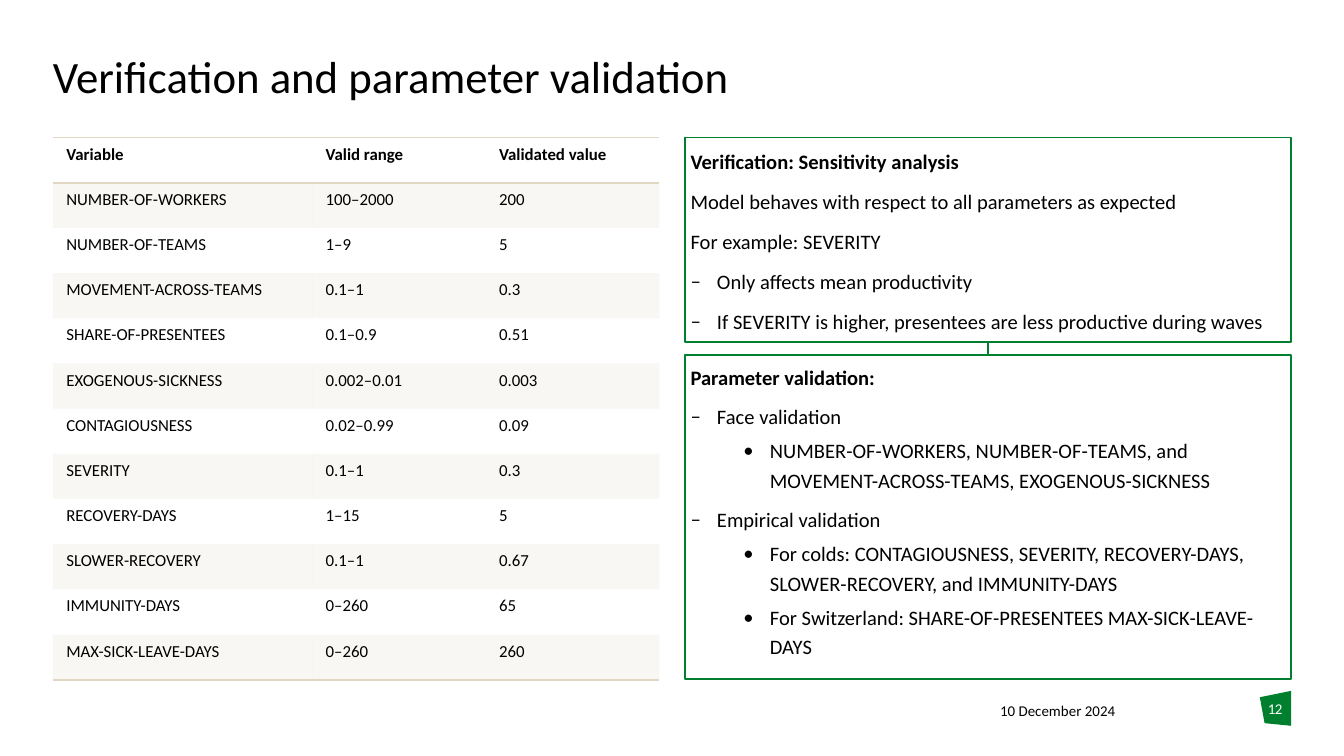
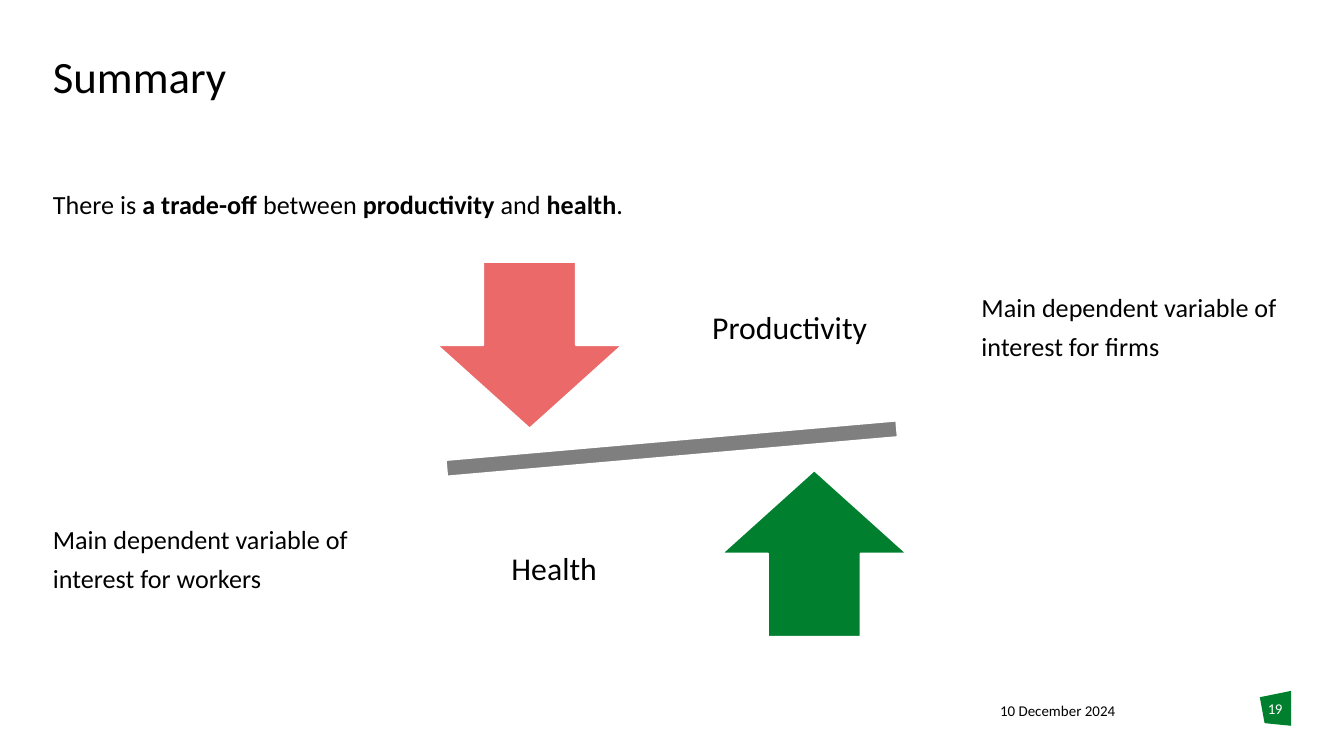
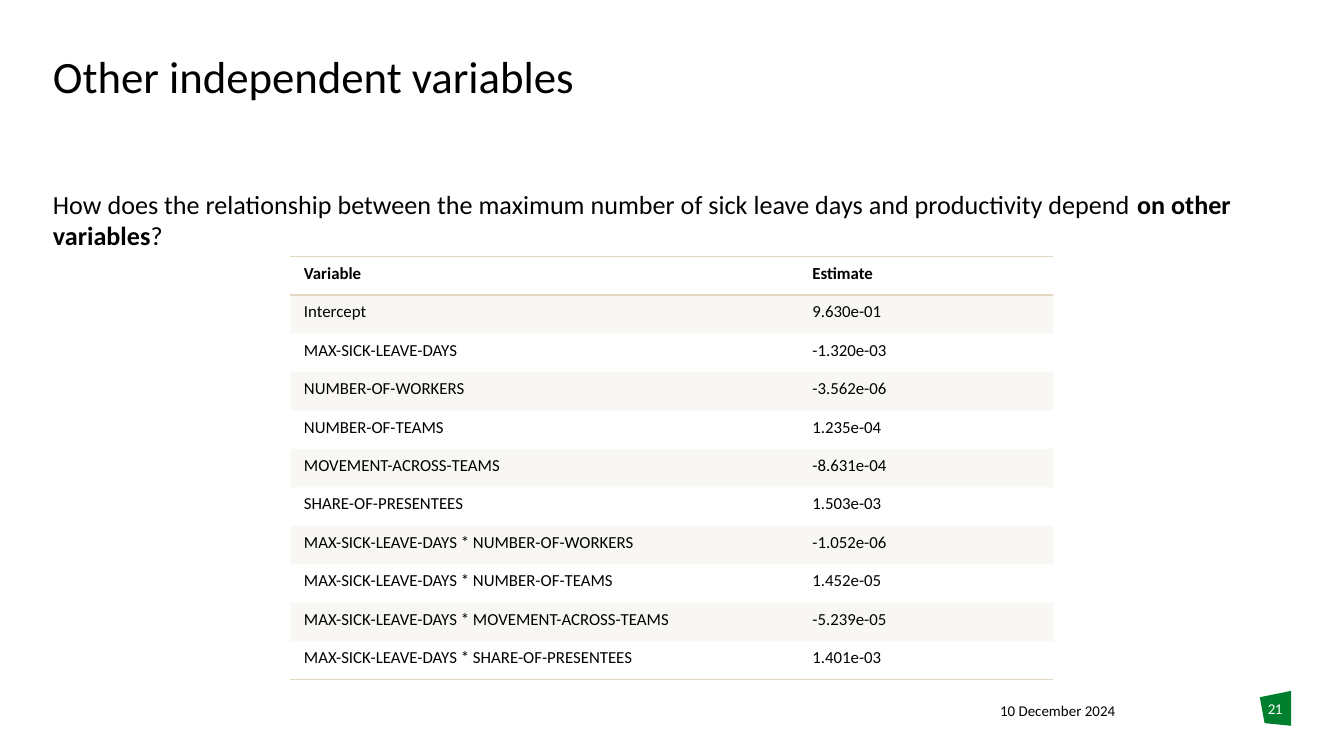
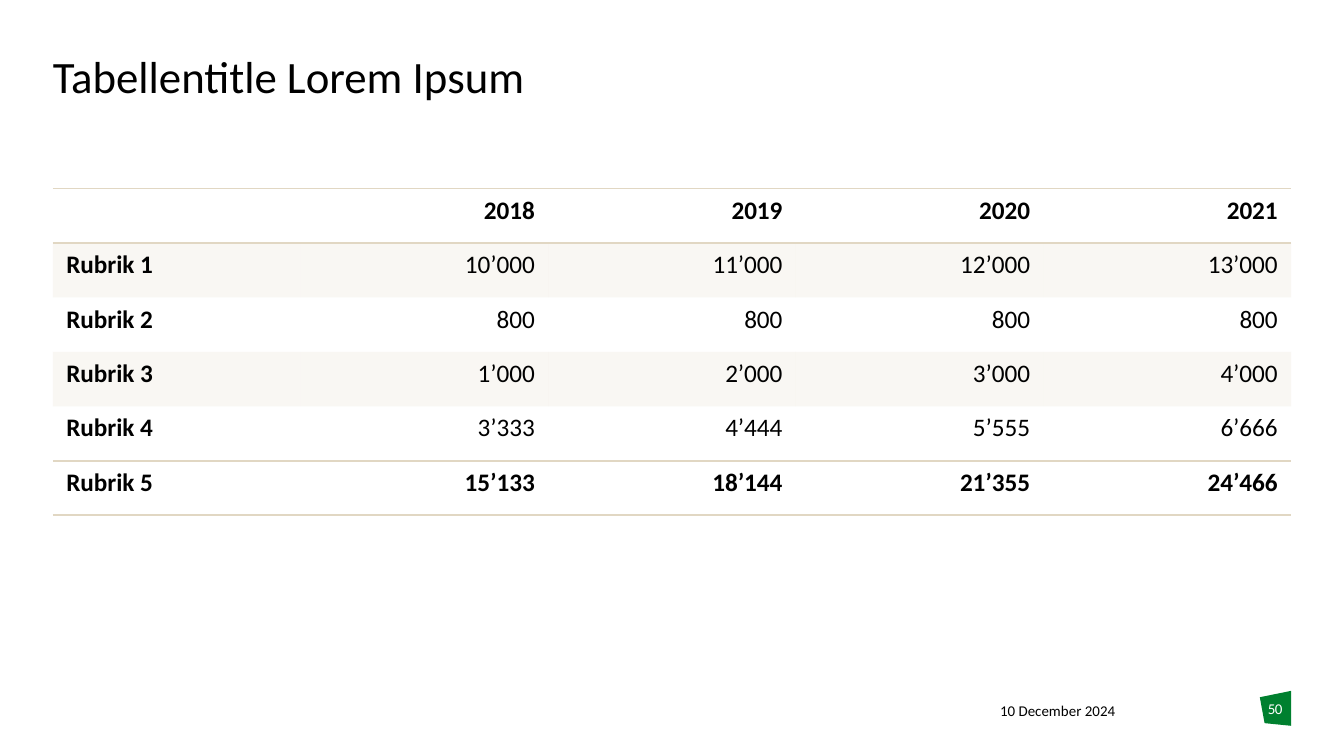
"""Build four slides on a workplace sickness model with one shared style."""
from dataclasses import dataclass, replace

from lxml import etree
from pptx import Presentation
from pptx import util as u
from pptx.dml import color
from pptx.enum import shapes, text
from pptx.oxml import ns

NO_GRID_STYLE = "{2D5ABB26-0587-4C30-8999-92F81FD0307C}"


@dataclass(frozen=True)
class Theme:
    font: str = "Calibri"
    ink: str = "000000"
    paper: str = "FFFFFF"
    green: str = "00802F"
    red: str = "EB6969"
    sand: str = "E1D7C3"
    title: float = 24
    label: float = 17
    body: float = 14
    figures: float = 13.5
    box: float = 11
    cell: float = 9
    footer: float = 8
    margin: float = 1.0
    width: float = 23.4
    line: float = 1
    date: str = "10 December 2024"


@dataclass(frozen=True)
class Style:
    size: float
    ink: str = Theme.ink
    align: text.PP_ALIGN = text.PP_ALIGN.LEFT
    level: int = 0
    indent: float = 0
    hanging: float = 0
    bullet: str = ""
    spacing: float = 1.0
    after: float = 0
    tracking: int = 0


def child(parent, tag, **attributes):
    return etree.SubElement(parent, ns.qn(tag), **attributes)


class Deck:
    def __init__(self, theme):
        self.theme = theme
        self.presentation = Presentation()
        self.presentation.slide_width = u.Cm(25.4)
        self.presentation.slide_height = u.Cm(14.29)
        self.slide = None

    def start(self, title, number, layout):
        layouts = self.presentation.slide_layouts
        self.slide = self.presentation.slides.add_slide(layouts[layout])
        theme = self.theme
        self.placeholder(0, (theme.margin, 1.04, theme.width, 1.7),
                         [(Style(theme.title, spacing=0.9), title)])
        self.page_mark()
        footer = Style(theme.footer)
        self.textbox((18.9, 13.26, 3.28, 0.51), [(footer, theme.date)])
        self.textbox((23.8, 13.23, 0.6, 0.76), [
            (replace(footer, ink=theme.paper, align=text.PP_ALIGN.CENTER, tracking=-30), str(number))])

    def page_mark(self):
        corners = [(23.81, 13.18), (24.4, 13.06), (24.4, 13.72), (23.9, 13.67)]
        points = [(u.Cm(x), u.Cm(y)) for x, y in corners]
        builder = self.slide.shapes.build_freeform(*points[0], scale=1.0)
        builder.add_line_segments(points[1:], close=True)
        self.paint(builder.convert_to_shape(), self.theme.green)

    def paint(self, shape, fill, line=None, alpha=None):
        shape.shadow.inherit = False
        self.fill(shape.fill, fill)
        if alpha:
            self.fade(shape.element.spPr, alpha)
        if line:
            self.outline(shape.line, line)
        else:
            shape.line.fill.background()

    def fill(self, fill, hue):
        fill.solid()
        fill.fore_color.rgb = color.RGBColor.from_string(hue)

    def fade(self, properties, percent):
        hue = properties.find(ns.qn("a:solidFill"))[0]
        child(hue, "a:alpha", val=str(percent * 1000))

    def outline(self, line, hue):
        self.fill(line.fill, hue)
        line.width = u.Pt(self.theme.line)

    def place(self, shape, box):
        shape.left, shape.top, shape.width, shape.height = map(u.Cm, box)

    def placeholder(self, index, box, paragraphs, inset=0, border=None):
        shape = self.slide.placeholders[index]
        self.place(shape, box)
        if border:
            self.outline(shape.line, border)
        self.frame(shape.text_frame, paragraphs, inset)

    def textbox(self, box, paragraphs, inset=0, anchor=text.MSO_ANCHOR.TOP, parent=None):
        parent = parent or self.slide
        shape = parent.shapes.add_textbox(*map(u.Cm, box))
        self.frame(shape.text_frame, paragraphs, inset, anchor)

    def frame(self, frame, paragraphs, inset, anchor=text.MSO_ANCHOR.TOP):
        frame.word_wrap = True
        frame.auto_size = text.MSO_AUTO_SIZE.NONE
        frame.vertical_anchor = anchor
        frame.margin_left = frame.margin_right = u.Cm(inset)
        frame.margin_top = frame.margin_bottom = u.Cm(inset)
        for index, (style, content) in enumerate(paragraphs):
            paragraph = frame.add_paragraph() if index else frame.paragraphs[0]
            self.paragraph(paragraph, style, content)

    def paragraph(self, paragraph, style, content):
        paragraph.alignment = style.align
        paragraph.level = style.level
        paragraph.line_spacing = style.spacing
        paragraph.space_before = u.Pt(0)
        paragraph.space_after = u.Pt(style.after)
        properties = paragraph._p.get_or_add_pPr()
        properties.set("marL", str(u.Cm(style.indent)))
        properties.set("indent", str(-u.Cm(style.hanging)))
        if style.bullet:
            child(properties, "a:buFont", typeface=self.theme.font)
            child(properties, "a:buChar", char=style.bullet)
        else:
            child(properties, "a:buNone")
        runs = [(content, False)] if isinstance(content, str) else content
        for words, bold in runs:
            run = paragraph.add_run()
            run.text = words
            run.font.name = self.theme.font
            run.font.size = u.Pt(style.size)
            run.font.bold = bold
            run.font.color.rgb = color.RGBColor.from_string(style.ink)
            if style.tracking:
                run._r.get_or_add_rPr().set("spc", str(style.tracking))

    def shape(self, kind, box, fill, rotation=0, alpha=None, parent=None):
        shape = (parent or self.slide).shapes.add_shape(kind, *map(u.Cm, box))
        shape.rotation = rotation
        self.paint(shape, fill, self.theme.paper, alpha)

    def connector(self, start, end):
        connector = self.slide.shapes.add_connector(
            shapes.MSO_CONNECTOR.STRAIGHT, *map(u.Cm, start + end))
        self.outline(connector.line, self.theme.green)
        child(connector._element.spPr, "a:effectLst")

    def table(self, left, top, widths, height, rows, size, totals=False):
        box = (left, top, sum(widths), height)
        table = self.slide.shapes.add_table(len(rows), len(widths), *map(u.Cm, box)).table
        table.first_row = table.horz_banding = False
        table._tbl.tblPr.find(ns.qn("a:tableStyleId")).text = NO_GRID_STYLE
        for column, width in zip(table.columns, widths):
            column.width = u.Cm(width)
        last = len(rows) - 1
        for r, row in enumerate(rows):
            ruled = r == 0 or (totals and r == last)
            edges = ["a:lnT"] * ruled + ["a:lnB"] * (ruled or r == last)
            for c, words in enumerate(row):
                cell = table.cell(r, c)
                self.rule(cell, edges)
                if r % 2 and not ruled:
                    self.fill(cell.fill, self.theme.sand)
                    self.fade(cell._tc.tcPr, 20)
                else:
                    cell.fill.background()
                if words:
                    right = totals and c > 0
                    align = text.PP_ALIGN.RIGHT if right else text.PP_ALIGN.LEFT
                    bold = ruled or (totals and c == 0)
                    self.paragraph(cell.text_frame.paragraphs[0],
                                   Style(size, align=align), [(words, bold)])

    def rule(self, cell, edges):
        properties = cell._tc.get_or_add_tcPr()
        for edge in edges:
            line = child(properties, edge, w=str(u.Pt(self.theme.line)))
            child(child(line, "a:solidFill"), "a:srgbClr", val=self.theme.sand)


def validation_slide(deck):
    theme = deck.theme
    deck.start("Verification and parameter validation", 12, layout=3)
    deck.table(theme.margin, 2.6, [4.9, 3.28, 3.28], 10.25, [
        ("Variable", "Valid range", "Validated value"),
        ("NUMBER-OF-WORKERS", "100–2000", "200"),
        ("NUMBER-OF-TEAMS", "1–9", "5"),
        ("MOVEMENT-ACROSS-TEAMS", "0.1–1", "0.3"),
        ("SHARE-OF-PRESENTEES", "0.1–0.9", "0.51"),
        ("EXOGENOUS-SICKNESS", "0.002–0.01", "0.003"),
        ("CONTAGIOUSNESS", "0.02–0.99", "0.09"),
        ("SEVERITY", "0.1–1", "0.3"),
        ("RECOVERY-DAYS", "1–15", "5"),
        ("SLOWER-RECOVERY", "0.1–1", "0.67"),
        ("IMMUNITY-DAYS", "0–260", "65"),
        ("MAX-SICK-LEAVE-DAYS", "0–260", "260"),
    ], theme.cell)

    plain = Style(theme.box, level=1, spacing=1.25, after=5)
    dash = replace(plain, indent=0.5, hanging=0.5, bullet="‒")
    deck.placeholder(1, (12.95, 2.6, 11.45, 3.86), [
        (plain, [("Verification: Sensitivity analysis", True)]),
        (plain, "Model behaves with respect to all parameters as expected"),
        (plain, "For example: SEVERITY"),
        (dash, "Only affects mean productivity"),
        (dash, "If SEVERITY is higher, presentees are less productive during waves"),
    ], inset=0.1, border=theme.green)

    heading = replace(plain, spacing=1.2)
    topic = replace(dash, spacing=1.2, after=2.5)
    dot = replace(topic, level=2, indent=1.5, bullet="•")
    deck.placeholder(2, (12.95, 6.71, 11.45, 6.13), [
        (heading, [("Parameter validation:", True)]),
        (topic, "Face validation"),
        (replace(dot, after=5), "NUMBER-OF-WORKERS, NUMBER-OF-TEAMS, and "
                                "MOVEMENT-ACROSS-TEAMS, EXOGENOUS-SICKNESS"),
        (topic, "Empirical validation"),
        (dot, "For colds: CONTAGIOUSNESS, SEVERITY, RECOVERY-DAYS, "
              "SLOWER-RECOVERY, and IMMUNITY-DAYS"),
        (replace(dot, after=0), "For Switzerland: SHARE-OF-PRESENTEES MAX-SICK-LEAVE-DAYS"),
    ], inset=0.1, border=theme.green)
    deck.connector((18.67, 6.46), (18.67, 6.71))


def summary_slide(deck):
    theme = deck.theme
    deck.start("Summary", 19, layout=1)
    deck.placeholder(1, (theme.margin, 3.56, theme.width, 1), [
        (Style(theme.body, after=6), [
            ("There is ", False), ("a trade-off ", True), ("between", False),
            (" productivity ", True), ("and", False), (" health", True), (".", False)])])

    balance = deck.slide.shapes.add_group_shape()
    kinds = shapes.MSO_SHAPE
    deck.shape(kinds.MATH_MINUS, (6.88, 7.82, 11.63, 1.32), theme.ink,
               rotation=355, alpha=50, parent=balance)
    label = Style(theme.label, align=text.PP_ALIGN.CENTER, spacing=0.9)
    for kind, arrow, fill, words, place in [
        (kinds.DOWN_ARROW, (8.26, 4.95), theme.red, "Productivity", (13.06, 4.55)),
        (kinds.UP_ARROW, (13.64, 8.89), theme.green, "Health", (8.61, 9.12)),
    ]:
        deck.shape(kind, arrow + (3.5, 3.15), fill, parent=balance)
        deck.textbox(place + (3.73, 3.33), [(label, words)], inset=0.33,
                     anchor=text.MSO_ANCHOR.MIDDLE, parent=balance)

    remark = Style(theme.body, level=1, spacing=1.25, after=5)
    for box, group in [((18.55, 5.36, 5.85, 5.31), "firms"),
                       ((theme.margin, 9.75, 5.85, 2.74), "workers")]:
        deck.textbox(box, [(remark, f"Main dependent variable of interest for {group}")])


def estimates_slide(deck):
    theme = deck.theme
    deck.start("Other independent variables", 21, layout=1)
    deck.placeholder(1, (theme.margin, 3.56, theme.width, 1.3), [
        (Style(theme.body, after=5), [
            ("How does the relationship between the maximum number of sick leave days "
             "and productivity depend ", False),
            ("on other variables", True), ("?", False)])])
    deck.table(5.49, 4.85, [9.61, 4.81], 8, [
        ("Variable", "Estimate"),
        ("Intercept", "9.630e-01"),
        ("MAX-SICK-LEAVE-DAYS", "-1.320e-03"),
        ("NUMBER-OF-WORKERS", "-3.562e-06"),
        ("NUMBER-OF-TEAMS", "1.235e-04"),
        ("MOVEMENT-ACROSS-TEAMS", "-8.631e-04"),
        ("SHARE-OF-PRESENTEES", "1.503e-03"),
        ("MAX-SICK-LEAVE-DAYS * NUMBER-OF-WORKERS", "-1.052e-06"),
        ("MAX-SICK-LEAVE-DAYS * NUMBER-OF-TEAMS", "1.452e-05"),
        ("MAX-SICK-LEAVE-DAYS * MOVEMENT-ACROSS-TEAMS", "-5.239e-05"),
        ("MAX-SICK-LEAVE-DAYS * SHARE-OF-PRESENTEES", "1.401e-03"),
    ], theme.cell)


def figures_slide(deck):
    theme = deck.theme
    deck.start("Tabellentitle Lorem Ipsum", 50, layout=5)
    deck.table(theme.margin, 3.56, [theme.width / 5] * 5, 6.18, [
        ("", "2018", "2019", "2020", "2021"),
        ("Rubrik 1", "10’000", "11’000", "12’000", "13’000"),
        ("Rubrik 2", "800", "800", "800", "800"),
        ("Rubrik 3", "1’000", "2’000", "3’000", "4’000"),
        ("Rubrik 4", "3’333", "4’444", "5’555", "6’666"),
        ("Rubrik 5", "15’133", "18’144", "21’355", "24’466"),
    ], theme.figures, totals=True)


def main():
    deck = Deck(Theme())
    validation_slide(deck)
    summary_slide(deck)
    estimates_slide(deck)
    figures_slide(deck)
    deck.presentation.save("out.pptx")


if __name__ == "__main__":
    main()
